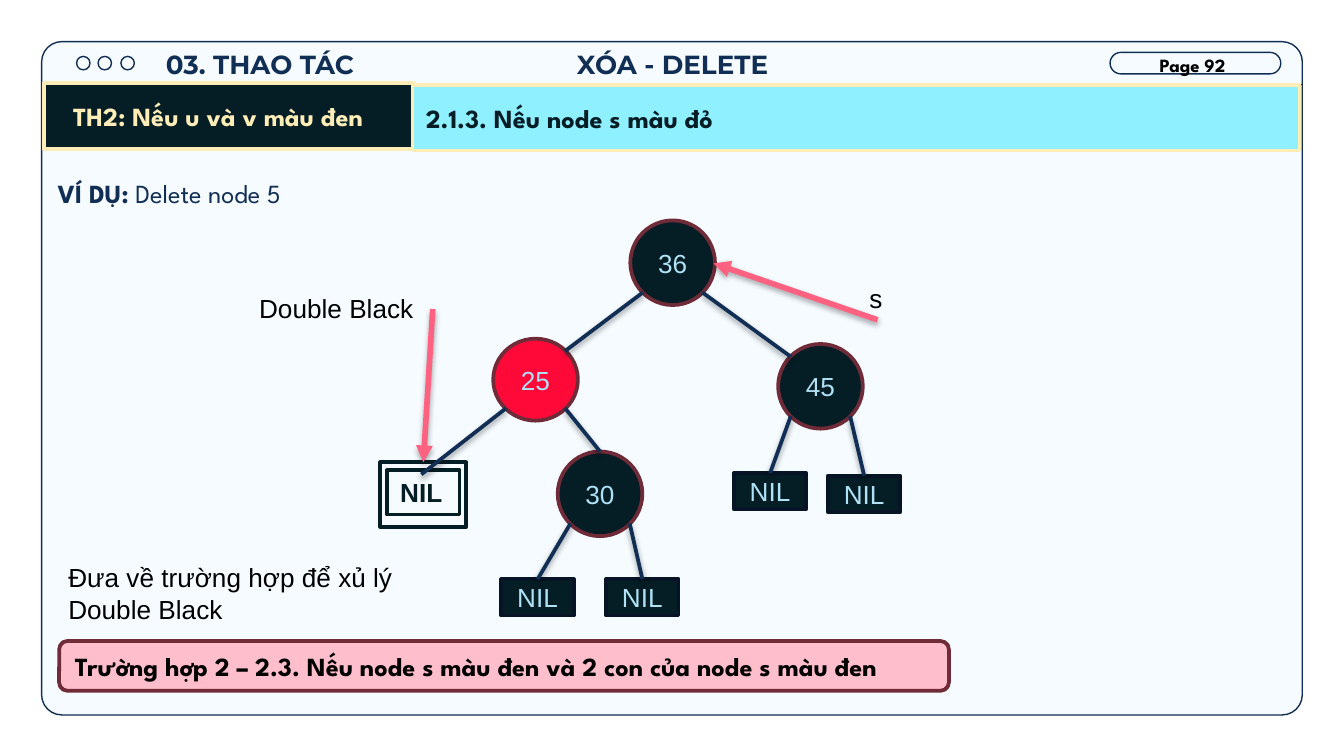
"""Build a slide on deleting node 5 from a red-black tree."""
import lxml.etree
import pptx
import pptx.dml.color
import pptx.enum.shapes
import pptx.enum.text
import pptx.oxml.ns
import pptx.util

PX = 9144
SHAPE = pptx.enum.shapes.MSO_SHAPE
ALIGN = pptx.enum.text.PP_ALIGN
ANCHOR = pptx.enum.text.MSO_ANCHOR
qn = pptx.oxml.ns.qn
rgb = pptx.dml.color.RGBColor.from_string


class Theme:
    navy, ink, cream, cyan = "112E54", "051D25", "FFEDB8", "8FF0FF"
    panel, red, maroon, ice = "F5FBFF", "FF0939", "702B38", "AEE2F4"
    edge, arrow, pink, black = "071425", "FF6180", "FFBECB", "000000"
    head, label, sans = "Montserrat", "League Spartan", "Arial"
    size, small = 14, 10
    hair, rule, bold_rule = 0.75, 2, 3


def draw(kind, box, fill=None, line=None, width=Theme.rule):
    """Add a preset shape, or a text box when kind is None."""
    box = [v * PX for v in box]
    if kind is None:
        return s.shapes.add_textbox(*box)
    sp = s.shapes.add_shape(kind, *box)
    sp.shadow.inherit = False
    if fill:
        sp.fill.solid()
        sp.fill.fore_color.rgb = rgb(fill)
    else:
        sp.fill.background()
    sp.line.color.rgb = rgb(line)
    sp.line.width = pptx.util.Pt(width)
    return sp


def write(sp, text, font=Theme.sans, size=Theme.size, color=Theme.black, bold=False,
          align=ALIGN.LEFT, anchor=ANCHOR.TOP, inset=(10, 5, 10, 5), spacing=None):
    """Add a formatted run to the first paragraph of a shape."""
    tf = sp.text_frame
    tf.word_wrap = True
    tf.auto_size = pptx.enum.text.MSO_AUTO_SIZE.NONE
    tf.vertical_anchor = anchor
    tf.margin_left, tf.margin_top, tf.margin_right, tf.margin_bottom = [v * PX for v in inset]
    p = tf.paragraphs[0]
    p.alignment = align
    p.line_spacing = spacing
    r = p.add_run()
    r.text = text
    r.font.name, r.font.size, r.font.bold = font, pptx.util.Pt(size), bold
    r.font.color.rgb = rgb(color)


prs = pptx.Presentation()
prs.slide_width = 1000 * PX
prs.slide_height = prs.slide_width * 9 // 16
s = prs.slides.add_slide(prs.slide_layouts[5])

panel = draw(SHAPE.ROUNDED_RECTANGLE, (31, 31, 938, 501), Theme.panel, Theme.navy, Theme.hair)
panel.adjustments[0] = 0.03
for x in (57, 73, 90):
    draw(SHAPE.OVAL, (x, 42, 10, 10), None, Theme.navy, Theme.hair)
pill = draw(SHAPE.ROUNDED_RECTANGLE, (826, 39, 127, 16), None, Theme.navy, Theme.hair)
pill.adjustments[0] = 0.5

title = s.shapes.title
panel._element.addnext(title._element)
title.left, title.top, title.width, title.height = [v * PX for v in (107, 26, 173, 46)]
heading = dict(font=Theme.head, color=Theme.navy, bold=True, align=ALIGN.CENTER, inset=(10,) * 4)
write(title, "03. THAO TÁC", **heading)
write(draw(None, (79, 26, 843, 39)), "XÓA - DELETE", **heading)
write(draw(None, (853, 35, 75, 27)), "Page 92", font=Theme.label, size=Theme.small, bold=True)

links = [(None, (31, 63), (969, 63), None, Theme.navy, Theme.hair)]
case = draw(SHAPE.RECTANGLE, (33, 62, 275, 49), Theme.ink, Theme.cream)
write(case, "TH2: Nếu u và v màu đen", font=Theme.label, color=Theme.cream, bold=True,
      align=ALIGN.CENTER, anchor=ANCHOR.MIDDLE, inset=(10, 5, 26, 5))
subcase = draw(SHAPE.RECTANGLE, (307, 63, 660, 49), Theme.cyan, Theme.cream)
write(subcase, "2.1.3. Nếu node s màu đỏ", font=Theme.label, color=Theme.ink, bold=True,
      anchor=ANCHOR.MIDDLE)
example = draw(None, (33, 110, 906, 54))
for text, bold in (("VÍ DỤ:", True), (" Delete node 5", False)):
    write(example, text, font=Theme.label, color=Theme.navy, bold=bold, inset=(10,) * 4, spacing=1.5)

centered = dict(align=ALIGN.CENTER, anchor=ANCHOR.MIDDLE)
nodes = {}
for key, x, y, h, fill in (("36", 469, 164, 63, Theme.ink), ("25", 367, 252, 61, Theme.red),
                           ("45", 579, 256, 63, Theme.ink), ("30", 415, 336, 63, Theme.ink)):
    nodes[key] = draw(SHAPE.FLOWCHART_CONNECTOR, (x, y, 63, h), fill, Theme.maroon)
    write(nodes[key], key, color=Theme.ice, **centered)
for key, x, y in (("30L", 373, 431), ("30R", 451, 431), ("45L", 546, 352), ("45R", 616, 354)):
    nodes[key] = draw(SHAPE.RECTANGLE, (x, y, 54, 27), Theme.ink, Theme.edge)
    write(nodes[key], "NIL", color=Theme.ice, **centered)
nodes["25L"] = draw(None, (283, 353, 61, 27))
write(nodes["25L"], "NIL", color=Theme.ink, bold=True, **centered)
draw(SHAPE.RECTANGLE, (288, 350, 54, 33), None, Theme.ink)
double_black = draw(SHAPE.RECTANGLE, (283, 344, 64, 48), None, Theme.ink)

DIAGONAL = 0.35
for parent, side, child, joined in (("36", -1, "25", False), ("36", 1, "45", False),
                                    ("25", -1, "25L", True), ("25", 1, "30", True),
                                    ("30", -1, "30L", True), ("30", 1, "30R", True),
                                    ("45", -1, "45L", True), ("45", 1, "45R", True)):
    a, b = nodes[parent], nodes[child]
    start = (a.left / PX + a.width / PX * (0.5 + side * DIAGONAL),
             a.top / PX + a.height / PX * (0.5 + DIAGONAL))
    end = (b.left / PX + b.width / PX * (0.5 - side * DIAGONAL),
           b.top / PX + b.height / PX * (0.5 - DIAGONAL))
    links.append((38, start, end, b if joined else None, Theme.navy, Theme.rule))
links.append((35, (322, 230), (315, 344), double_black, Theme.arrow, Theme.bold_rule))
links.append((35, (653, 238), (531, 196), None, Theme.arrow, Theme.bold_rule))

for shade, start, end, target, color, width in links:
    c = s.shapes.add_connector(pptx.enum.shapes.MSO_CONNECTOR.STRAIGHT,
                               *[round(v * PX) for v in (*start, *end)])
    if target is not None:
        c.end_connect(target, 0)
    c.line.color.rgb = rgb(color)
    c.line.width = pptx.util.Pt(width)
    if color == Theme.arrow:
        lxml.etree.SubElement(c.line._get_or_add_ln(), qn("a:tailEnd"), type="triangle")
    effects = lxml.etree.SubElement(c._element.spPr, qn("a:effectLst"))
    if shade:
        shadow = lxml.etree.SubElement(effects, qn("a:outerShdw"), blurRad="40000", dist="20000",
                                       dir="5400000", rotWithShape="0")
        tint = lxml.etree.SubElement(shadow, qn("a:srgbClr"), val=Theme.black)
        lxml.etree.SubElement(tint, qn("a:alpha"), val=str(shade * 1000))
    else:
        panel._element.addnext(c._element)

for text, box in (("Double Black", (183, 213, 140, 34)), ("s", (637, 205, 31, 34)),
                  ("Đưa về trường hợp để xủ lý Double Black", (41, 413, 326, 57))):
    write(draw(None, box), text)
banner = draw(SHAPE.ROUNDED_RECTANGLE, (44, 477, 662, 37), Theme.pink, Theme.maroon)
write(banner, "Trường hợp 2 – 2.3. Nếu node s màu đen và 2 con của node s màu đen",
      font=Theme.label, bold=True, anchor=ANCHOR.MIDDLE)

prs.save("out.pptx")
